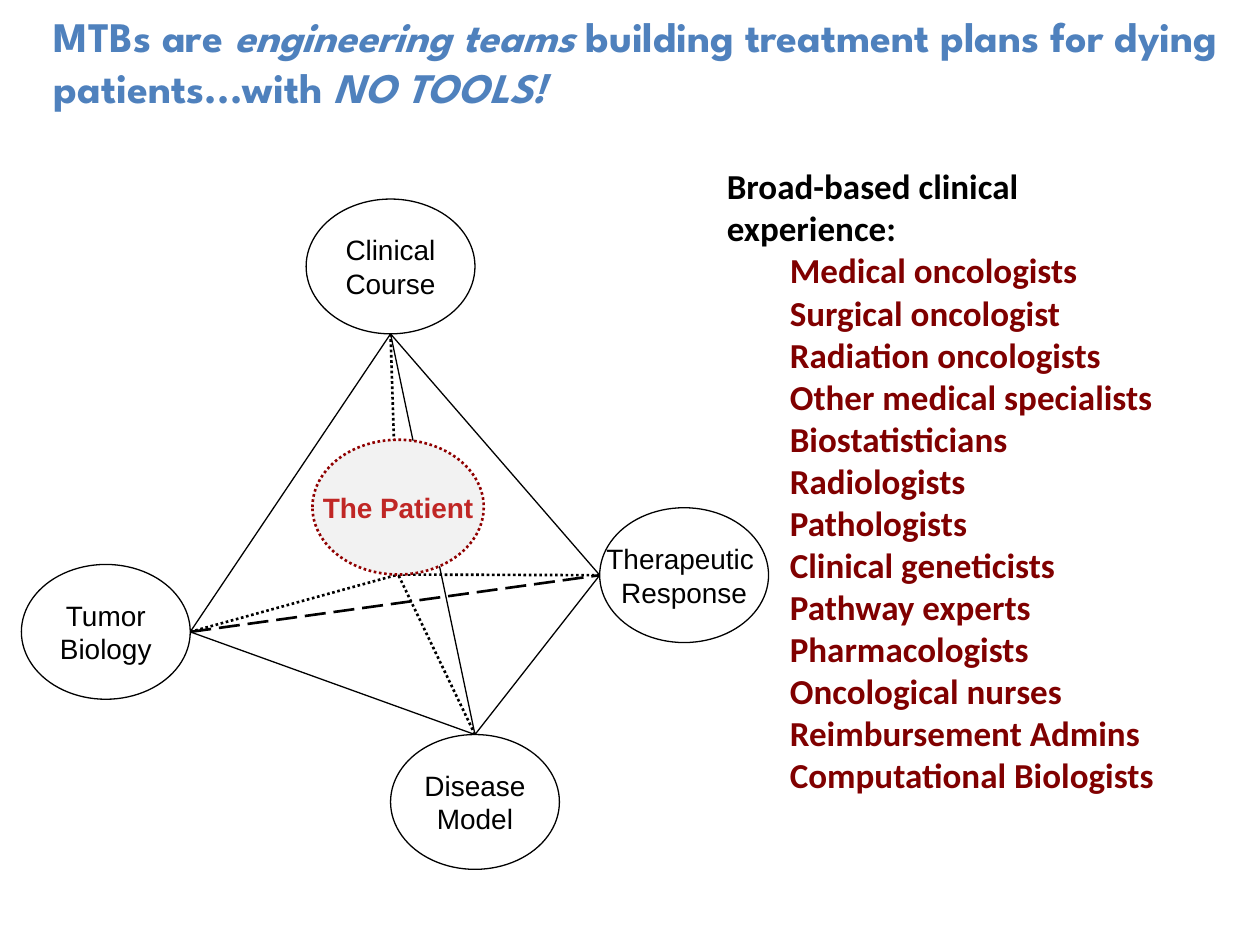
from lxml.etree import SubElement
from pptx import Presentation
from pptx.dml.color import RGBColor
from pptx.enum.dml import MSO_LINE
from pptx.enum.shapes import MSO_CONNECTOR, MSO_SHAPE
from pptx.enum.text import MSO_ANCHOR, PP_ALIGN
from pptx.oxml.ns import qn
from pptx.util import Inches, Pt

COLORS = {"title": "4F81BD", "ink": "000000", "white": "FFFFFF", "item": "800000",
          "core": "F2F2F2", "core_line": "900000", "core_text": "C02725"}

NODE_W, NODE_H = 1.34, 1.07
# name: (left, top, lines, side where the edges meet), relative to the diagram
NODES = {
    "course": (2.26, 0, ["Clinical", "Course"], "bottom"),
    "biology": (0, 2.9, ["Tumor", "Biology"], "right"),
    "response": (4.59, 2.45, ["Therapeutic ", "Response"], "left"),
    "model": (2.93, 4.25, ["Disease", "Model"], "top"),
}
PATIENT = (2.31, 1.91, 1.36, NODE_H)
SIDES = {"top": (0.5, 0), "left": (0, 0.5), "bottom": (0.5, 1), "right": (1, 0.5)}
EDGES = [("course", "model"), ("course", "biology"), ("response", "course"),
         ("model", "response"), ("model", "biology")]

SPECIALISTS = [
    "Medical oncologists", "Surgical oncologist", "Radiation oncologists",
    "Other medical specialists", "Biostatisticians", "Radiologists", "Pathologists",
    "Clinical geneticists", "Pathway experts", "Pharmacologists", "Oncological nurses",
    "Reimbursement Admins", "Computational Biologists",
]


def rgb(name):
    return RGBColor.from_string(COLORS[name])


def add_run(p, text, font, size, color, bold=False, italic=False):
    r = p.add_run()
    r.text = text
    f = r.font
    f.name, f.size, f.bold, f.italic = font, Pt(size), bold, italic
    f.color.rgb = rgb(color)


def style_line(line, color, width, dash=None):
    line.color.rgb = rgb(color)
    line.width = Pt(width)
    if dash is not None:
        line.dash_style = dash


def add_text_box(s, left, top, width, height):
    tf = s.shapes.add_textbox(*map(Inches, (left, top, width, height))).text_frame
    tf.word_wrap = True
    return tf


def add_edge(s, start, end, width=0.75, dash=None):
    c = s.shapes.add_connector(MSO_CONNECTOR.STRAIGHT, *map(Inches, start + end))
    style_line(c.line, "ink", width, dash)
    SubElement(c._element.spPr, qn("a:effectLst"))


def add_ellipse(s, box, lines, fill="white", line="ink", text="ink",
                width=0.75, dash=None, bold=False):
    sp = s.shapes.add_shape(MSO_SHAPE.OVAL, *map(Inches, box))
    sp.shadow.inherit = False
    sp.fill.solid()
    sp.fill.fore_color.rgb = rgb(fill)
    style_line(sp.line, line, width, dash)
    tf = sp.text_frame
    tf.word_wrap = False
    tf.vertical_anchor = MSO_ANCHOR.MIDDLE
    for i, label in enumerate(lines):
        p = tf.paragraphs[0] if i == 0 else tf.add_paragraph()
        p.alignment = PP_ALIGN.CENTER
        add_run(p, label, "Arial", 16, text, bold)


def add_title(s, left, top, width, height):
    tf = add_text_box(s, left, top, width, height)
    tf.vertical_anchor = MSO_ANCHOR.MIDDLE
    p = tf.paragraphs[0]
    for text, italic in [("MTBs are ", False), ("engineering teams", True),
                         (" building treatment plans for dying patients...with ", False),
                         ("NO TOOLS!", True)]:
        add_run(p, text, "League Spartan", 24, "title", True, italic)


def add_diagram(s, left, top):
    """Tetrahedron of four nodes with the patient at its centre."""
    def side_point(box, side):
        x, y, w, h = box
        fx, fy = SIDES[side]
        return x + fx * w, y + fy * h

    boxes = {name: (left + x, top + y, NODE_W, NODE_H)
             for name, (x, y, _, _) in NODES.items()}
    points = {name: side_point(boxes[name], node[3]) for name, node in NODES.items()}
    x, y, w, h = PATIENT
    patient = (left + x, top + y, w, h)
    core = side_point(patient, "bottom")

    for start, end in EDGES:
        add_edge(s, points[start], points[end])
    add_edge(s, points["biology"], points["response"], 1.5, MSO_LINE.LONG_DASH)
    for point in points.values():
        add_edge(s, point, core, 1.5, MSO_LINE.ROUND_DOT)

    add_ellipse(s, patient, ["The Patient"], "core", "core_line", "core_text",
                1.5, MSO_LINE.ROUND_DOT, True)
    for name, node in NODES.items():
        add_ellipse(s, boxes[name], node[2])


def add_specialists(s, left, top, width, height):
    tf = add_text_box(s, left, top, width, height)
    p = tf.paragraphs[0]
    add_run(p, "Broad-based clinical", "Calibri", 20, "ink", True)
    p.add_line_break()
    add_run(p, "experience:", "Calibri", 20, "ink", True)
    for name in SPECIALISTS:
        p = tf.add_paragraph()
        p._p.get_or_add_pPr().set("marL", str(Inches(0.5)))
        add_run(p, name, "Calibri", 20, "item", True)


def main():
    prs = Presentation()
    prs.slide_width, prs.slide_height = Inches(10), Inches(7.5)
    s = prs.slides.add_slide(prs.slide_layouts[6])
    add_diagram(s, 0.17, 1.58)
    add_title(s, 0.33, 0.11, 9.51, 0.75)
    add_specialists(s, 5.67, 1.26, 4.19, 5.49)
    prs.save("out.pptx")


if __name__ == "__main__":
    main()
